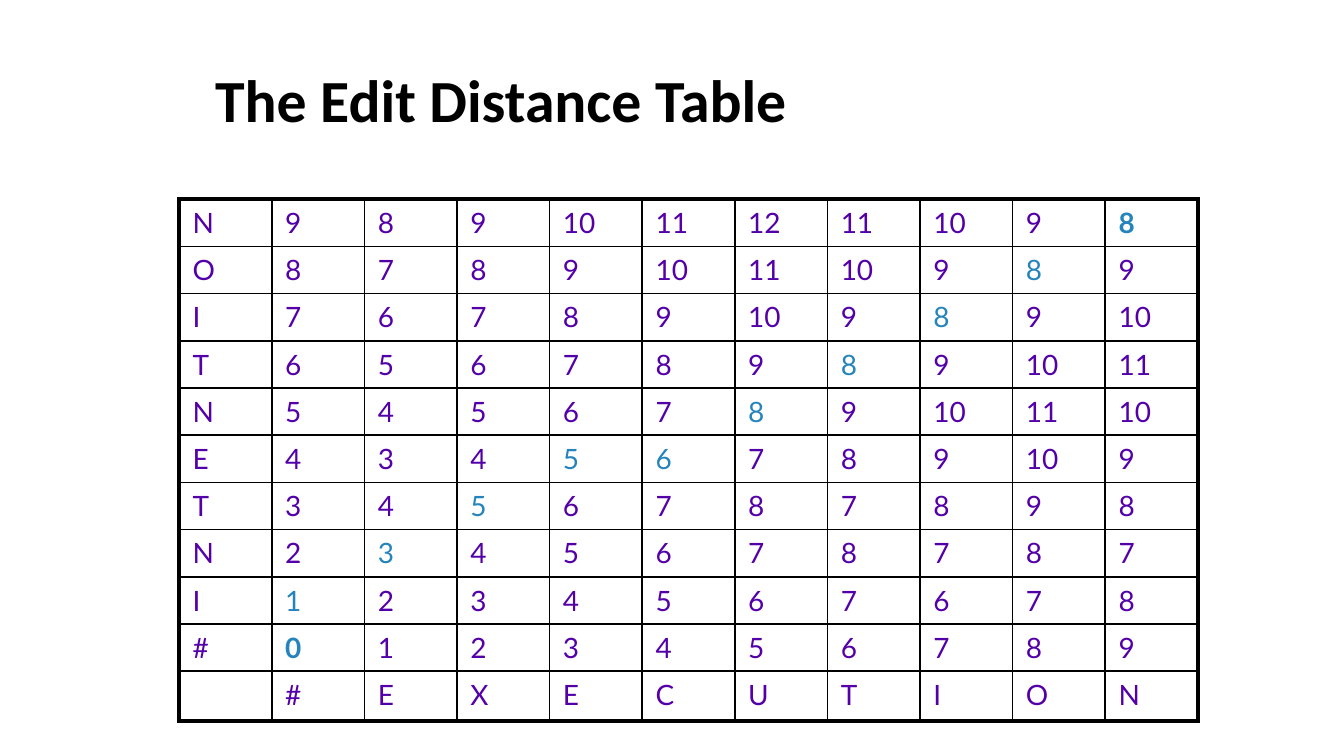
import dataclasses

import lxml.etree
import pptx
import pptx.dml.color
import pptx.enum.text
import pptx.oxml.ns
import pptx.util


@dataclasses.dataclass(frozen=True)
class Theme:
    black: str = "000000"
    body: str = "5400A8"
    trace: str = "2584BB"
    head_font: str = "Calibri"
    cell_font: str = "Lato"
    head_size: int = 32
    cell_size: int = 15
    gap: int = 3
    thin: float = 0.96
    thick: float = 2.21


THEME = Theme()
WIDE = pptx.util.Inches(10)
HIGH = WIDE * 9 // 16
TITLE_BOX = (0.15, 0.074, 0.817, 0.144)
TABLE_BOX = (0.1333, 0.2635, 0.758, 0.69)
LAST_SHARE = 0.095

ROWS = [line.split() for line in (
    "N 9 8 9 10 11 12 11 10 9 8",
    "O 8 7 8 9 10 11 10 9 8 9",
    "I 7 6 7 8 9 10 9 8 9 10",
    "T 6 5 6 7 8 9 8 9 10 11",
    "N 5 4 5 6 7 8 9 10 11 10",
    "E 4 3 4 5 6 7 8 9 10 9",
    "T 3 4 5 6 7 8 7 8 9 8",
    "N 2 3 4 5 6 7 8 7 8 7",
    "I 1 2 3 4 5 6 7 6 7 8",
    "# 0 1 2 3 4 5 6 7 8 9",
)]
ROWS.append([""] + "# E X E C U T I O N".split())
TRACE = [(0, 10), (1, 9), (2, 8), (3, 7), (4, 6), (5, 5),
         (5, 4), (6, 3), (7, 2), (8, 1), (9, 1)]
ENDS = (TRACE[0], TRACE[-1])


def scale(box):
    return [round(part * side) for part, side in zip(box, (WIDE, HIGH) * 2)]


def add_text(para, text, font, size, color, bold):
    run = para.add_run()
    run.text = text
    run.font.name = font
    run.font.size = pptx.util.Pt(size)
    run.font.bold = bold
    run.font.color.rgb = pptx.dml.color.RGBColor.from_string(color)


def add_edges(cell, widths):
    props = cell._tc.get_or_add_tcPr()
    for place, (side, width) in enumerate(widths.items()):
        line = lxml.etree.Element(pptx.oxml.ns.qn(f"a:ln{side}"),
                                  w=str(int(pptx.util.Pt(width))))
        fill = lxml.etree.SubElement(line, pptx.oxml.ns.qn("a:solidFill"))
        lxml.etree.SubElement(fill, pptx.oxml.ns.qn("a:srgbClr"), val=THEME.black)
        props.insert(place, line)


def place_title(slide, box):
    title = slide.shapes.title
    title.left, title.top, title.width, title.height = scale(box)
    frame = title.text_frame
    frame.word_wrap = True
    frame.auto_size = pptx.enum.text.MSO_AUTO_SIZE.NONE
    frame.vertical_anchor = pptx.enum.text.MSO_ANCHOR.TOP
    para = frame.paragraphs[0]
    para.alignment = pptx.enum.text.PP_ALIGN.LEFT
    add_text(para, "The Edit Distance Table", THEME.head_font,
             THEME.head_size, THEME.black, True)


def fill_cell(cell, text, spot):
    cell.fill.background()
    para = cell.text_frame.paragraphs[0]
    para.space_before = pptx.util.Pt(THEME.gap)
    if text:
        color = THEME.trace if spot in TRACE else THEME.body
        add_text(para, text, THEME.cell_font, THEME.cell_size, color, spot in ENDS)
    else:
        para._p.get_or_add_endParaRPr().set("sz", str(THEME.cell_size * 100))


def place_table(slide, box):
    left, top, width, height = scale(box)
    down, across = len(ROWS), len(ROWS[0])
    table = slide.shapes.add_table(down, across, left, top, width, height).table
    table.first_row = table.horz_banding = False
    for col in table.columns:
        col.width = round(width / across)
    for row in table.rows:
        row.height = round(height * (1 - LAST_SHARE) / (down - 1))
    table.rows[down - 1].height = round(height * LAST_SHARE)
    for r, row in enumerate(ROWS):
        for c, text in enumerate(row):
            cell = table.cell(r, c)
            fill_cell(cell, text, (r, c))
            outer = {"L": c == 0, "R": c == across - 1,
                     "T": r == 0, "B": r == down - 1}
            add_edges(cell, {side: THEME.thick if edge else THEME.thin
                             for side, edge in outer.items()})


def main():
    deck = pptx.Presentation()
    deck.slide_width, deck.slide_height = WIDE, HIGH
    slide = deck.slides.add_slide(deck.slide_layouts.get_by_name("Title Only"))
    place_table(slide, TABLE_BOX)
    place_title(slide, TITLE_BOX)
    deck.save("out.pptx")


if __name__ == "__main__":
    main()
